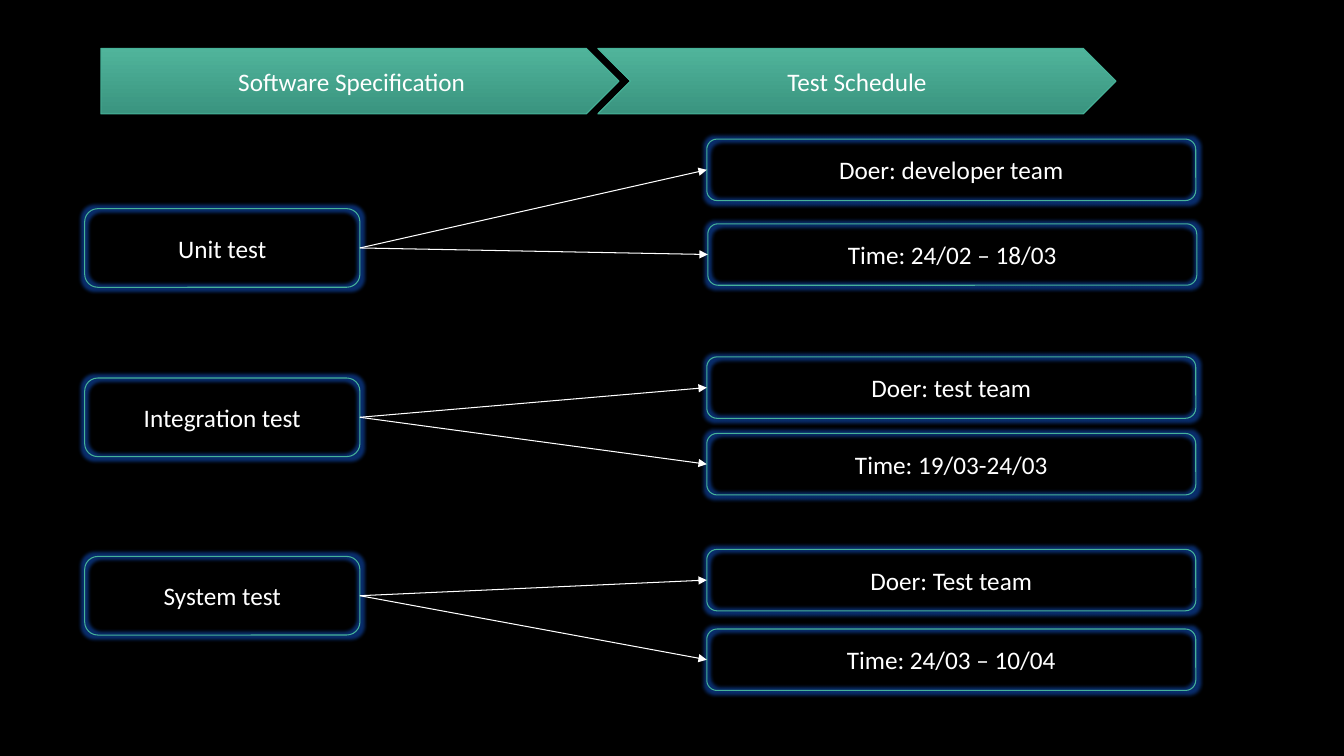
from lxml import etree
from pptx import Presentation
from pptx.dml.color import RGBColor
from pptx.enum.shapes import MSO_CONNECTOR, MSO_SHAPE
from pptx.enum.text import MSO_ANCHOR, PP_ALIGN
from pptx.oxml.ns import qn
from pptx.util import Inches, Pt

COLORS = {
    "background": "000000",
    "text": "FFFFFF",
    "arrow": "FFFFFF",
    "outline": "46B298",
    "banner_top": "50B49B",
    "banner_bottom": "3A947F",
    "glow": "1565F0",
}


def rgb(name):
    return RGBColor.from_string(COLORS[name])


def add_box(text, x, y, w, h, kind=MSO_SHAPE.ROUNDED_RECTANGLE, size=18, banner=False):
    """Outlined box with centred text: gradient when a banner, glowing otherwise."""
    sp = s.shapes.add_shape(kind, Inches(x), Inches(y), Inches(w), Inches(h))
    sp.shadow.inherit = False
    sp.line.color.rgb = rgb("outline")
    sp.line.width = Pt(0.75)
    if banner:
        sp.fill.gradient()
        sp.fill.gradient_angle = 270
        for stop, name in zip(sp.fill.gradient_stops, ("banner_top", "banner_bottom")):
            stop.color.rgb = rgb(name)
    else:
        sp.fill.background()
        effects = sp._element.spPr.find(qn("a:effectLst"))
        glow = etree.SubElement(effects, qn("a:glow"), rad=str(Pt(5)))
        color = etree.SubElement(glow, qn("a:srgbClr"), val=COLORS["glow"])
        etree.SubElement(color, qn("a:alpha"), val="45000")
    tf = sp.text_frame
    tf.word_wrap = True
    tf.vertical_anchor = MSO_ANCHOR.MIDDLE
    p = tf.paragraphs[0]
    p.alignment = PP_ALIGN.CENTER
    r = p.add_run()
    r.text = text
    r.font.name = "Calibri"
    r.font.size = Pt(size)
    r.font.color.rgb = rgb("text")
    return sp


prs = Presentation()
prs.slide_width, prs.slide_height = Inches(13.33), Inches(7.5)
s = prs.slides.add_slide(prs.slide_layouts[6])
s.background.fill.solid()
s.background.fill.fore_color.rgb = rgb("background")

# Header banners
add_box("Software Specification", 1, 0.48, 5.14, 0.65, MSO_SHAPE.PENTAGON, banner=True)
add_box("Test Schedule", 5.93, 0.48, 5.14, 0.65, MSO_SHAPE.CHEVRON, banner=True)

# Each test: name, top, then its schedule boxes (text, left, top)
tests = [
    ("Unit test", 2.07, [("Doer: developer team", 7.01, 1.38),
                         ("Time: 24/02 – 18/03", 7.02, 2.22)]),
    ("Integration test", 3.75, [("Doer: test team", 7.01, 3.54),
                                ("Time: 19/03-24/03", 7.01, 4.3)]),
    ("System test", 5.52, [("Doer: Test team", 7.01, 5.45),
                           ("Time: 24/03 – 10/04", 7.01, 6.24)]),
]
for name, top, schedule in tests:
    test = add_box(name, 0.84, top, 2.73, 0.78)
    for text, x, y in schedule:
        detail = add_box(text, x, y, 4.85, 0.61)
        # Arrow from the test to its schedule box
        arrow = s.shapes.add_connector(MSO_CONNECTOR.STRAIGHT, 0, 0, 0, 0)
        arrow.begin_connect(test, 3)
        arrow.end_connect(detail, 1)
        arrow.line.color.rgb = rgb("arrow")
        arrow.line.width = Pt(0.75)
        etree.SubElement(arrow.line._get_or_add_ln(), qn("a:tailEnd"), type="triangle")
        etree.SubElement(arrow._element.spPr, qn("a:effectLst"))

prs.save("out.pptx")
